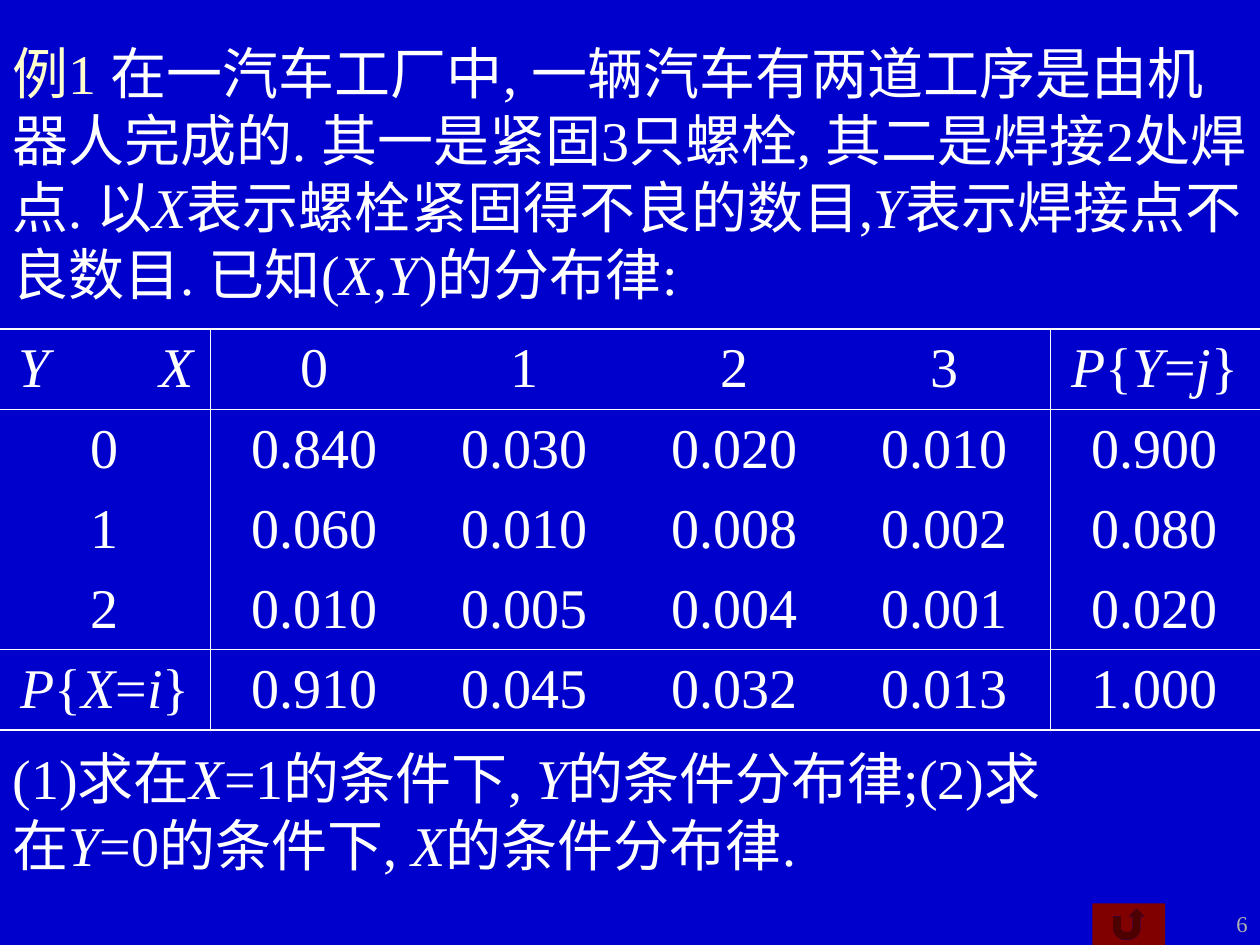
"""Build the slide on the joint distribution of bolt and weld defects."""
from lxml.etree import SubElement
from pptx import Presentation
from pptx.dml.color import RGBColor
from pptx.enum.shapes import MSO_SHAPE
from pptx.enum.text import MSO_ANCHOR, MSO_AUTO_SIZE, PP_ALIGN
from pptx.oxml.ns import qn
from pptx.util import Cm, Pt

BLUE = RGBColor(0x00, 0x00, 0xCC)
WHITE = RGBColor(0xFF, 0xFF, 0xFF)
CREAM = RGBColor(0xFF, 0xFF, 0xCC)
GRAY = RGBColor(0xB2, 0xB2, 0xB2)
MAROON = RGBColor(0x80, 0x00, 0x00)
THICK, THIN = Pt(1.5), Pt(0.5)


def add_text(paragraph, text, size=32, color=WHITE, align=PP_ALIGN.LEFT):
    """Append text to a paragraph; parts between asterisks are italic."""
    paragraph.alignment = align
    for index, part in enumerate(text.split("*")):
        if part:
            run = paragraph.add_run()
            run.text = part
            run.font.name = "Times New Roman"
            run.font.size = Pt(size)
            run.font.color.rgb = color
            run.font.italic = index % 2 == 1


def set_borders(cell, widths):
    """Draw the left, right, top and bottom borders; None hides one."""
    properties = cell._tc.get_or_add_tcPr()
    for index, (side, width) in enumerate(zip("LRTB", widths)):
        line = SubElement(properties, qn(f"a:ln{side}"))
        properties.insert(index, line)
        if width is None:
            SubElement(line, qn("a:noFill"))
        else:
            line.set("w", str(width))
            fill = SubElement(line, qn("a:solidFill"))
            SubElement(fill, qn("a:srgbClr"), val=str(WHITE))


presentation = Presentation()
presentation.slide_width = Cm(25.4)
presentation.slide_height = Cm(19.05)
slide = presentation.slides.add_slide(presentation.slide_layouts[5])
slide.background.fill.solid()
slide.background.fill.fore_color.rgb = BLUE

button = slide.shapes.add_shape(
    MSO_SHAPE.ACTION_BUTTON_RETURN, Cm(22.02), Cm(18.21), Cm(1.47), Cm(0.84))
button.shadow.inherit = False
button.fill.solid()
button.fill.fore_color.rgb = MAROON
button.line.fill.background()

number_box = slide.shapes.add_textbox(Cm(23.7), Cm(18.21), Cm(1.7), Cm(0.84))
number_box.text_frame.word_wrap = True
add_text(number_box.text_frame.paragraphs[0], "6", size=12.9, color=GRAY,
         align=PP_ALIGN.RIGHT)

title = slide.shapes.title
title.left, title.top, title.width, title.height = Cm(0), Cm(0.64), Cm(25.4), Cm(5.49)
title.text_frame.vertical_anchor = MSO_ANCHOR.TOP
title.text_frame.auto_size = MSO_AUTO_SIZE.NONE
title.text_frame.word_wrap = True
statement = title.text_frame.paragraphs[0]
add_text(statement, "例1 ", color=CREAM)
add_text(statement, "在一汽车工厂中, 一辆汽车有两道工序是由机器人完成的. "
         "其一是紧固3只螺栓, 其二是焊接2处焊点. 以*X*表示螺栓紧固得不良的数目,"
         "*Y*表示焊接点不良数目. 已知(*X*,*Y*)的分布律:")

ROWS = [
    ["*Y\tX*", "0", "1", "2", "3", "*P*{*Y*=*j*}"],
    ["0", "0.840", "0.030", "0.020", "0.010", "0.900"],
    ["1", "0.060", "0.010", "0.008", "0.002", "0.080"],
    ["2", "0.010", "0.005", "0.004", "0.001", "0.020"],
    ["*P*{*X*=*i*}", "0.910", "0.045", "0.032", "0.013", "1.000"],
]
ROW_LINES = [THICK, THIN, None, None, THIN, THICK]
COLUMN_LINES = [None, THIN, None, None, None, THIN, None]

table = slide.shapes.add_table(
    len(ROWS), len(ROWS[0]), Cm(0), Cm(6.63), Cm(25.4), Cm(8.08)).table
table.first_row = False
table.horz_banding = False
for row, values in enumerate(ROWS):
    for column, value in enumerate(values):
        cell = table.cell(row, column)
        cell.vertical_anchor = MSO_ANCHOR.MIDDLE
        cell.fill.background()
        set_borders(cell, COLUMN_LINES[column:column + 2] + ROW_LINES[row:row + 2])
        paragraph = cell.text_frame.paragraphs[0]
        if "\t" in value:
            cell.margin_left = Cm(0.38)
            tabs = SubElement(paragraph._p.get_or_add_pPr(), qn("a:tabLst"))
            SubElement(tabs, qn("a:tab"), pos=str(Cm(2.84)), algn="l")
            add_text(paragraph, value)
        else:
            add_text(paragraph, value, align=PP_ALIGN.CENTER)

questions = slide.shapes.add_textbox(Cm(0), Cm(14.86), Cm(24.71), Cm(2.97)).text_frame
questions.word_wrap = True
add_text(questions.paragraphs[0], "(1)求在*X*=1的条件下, *Y*的条件分布律;(2)求")
add_text(questions.add_paragraph(), "在*Y*=0的条件下, *X*的条件分布律.")

presentation.save("out.pptx")
